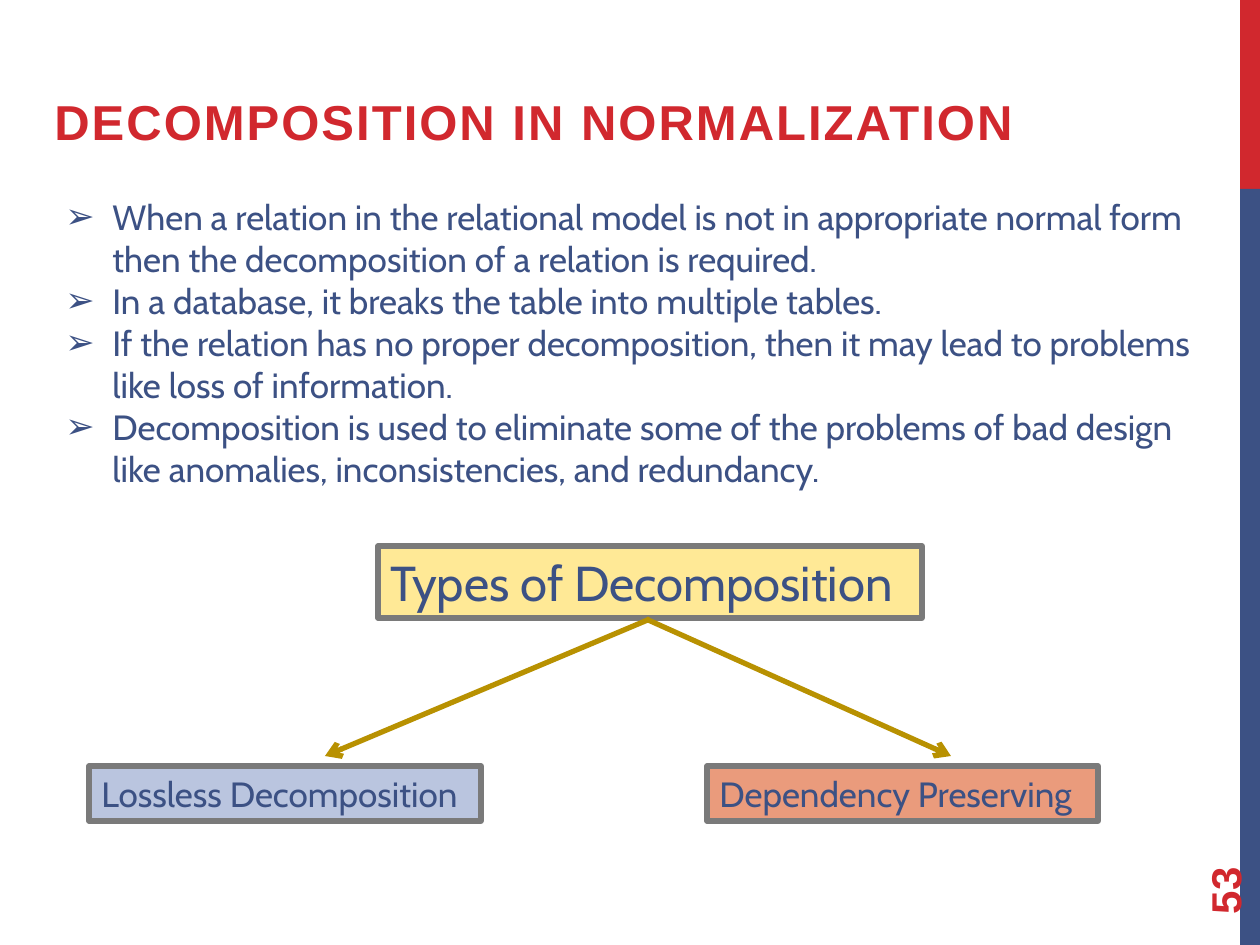
"""Build the slide on decomposition in normalization."""
import pptx
import pptx.dml.color
import pptx.enum.shapes
import pptx.enum.text
import pptx.oxml.ns
import pptx.util
from lxml import etree

PX = 914400 / 126
RECT = pptx.enum.shapes.MSO_SHAPE.RECTANGLE
ANCHOR = pptx.enum.text.MSO_ANCHOR
THEME = {
    "red": "D1282E", "navy": "3C5184", "border": "7A7A7A", "arrow": "B89101",
    "yellow": "FFE996", "blue": "BAC5DF", "orange": "EA9B7C",
    "head_font": "Arial", "body_font": "Cabin",
    "title": 28, "root": 28, "number": 24, "body": 20, "line": 3,
}


def add_rect(box, fill, border=None):
    sp = s.shapes.add_shape(RECT, *[round(v * PX) for v in box])
    sp.shadow.inherit = False
    sp.fill.solid()
    sp.fill.fore_color.rgb = pptx.dml.color.RGBColor.from_string(THEME[fill])
    if border:
        sp.line.color.rgb = pptx.dml.color.RGBColor.from_string(THEME[border])
        sp.line.width = pptx.util.Pt(THEME["line"])
    else:
        sp.line.fill.background()
    return sp


def set_text(sp, text, size, font, color, bold=False, anchor=ANCHOR.TOP):
    tf = sp.text_frame
    tf.word_wrap = True
    tf.vertical_anchor = anchor
    tf.text = text
    for p in tf.paragraphs:
        p.alignment = pptx.enum.text.PP_ALIGN.LEFT
        for r in p.runs:
            r.font.size = pptx.util.Pt(THEME[size])
            r.font.name = THEME[font]
            r.font.bold = bold
            r.font.color.rgb = pptx.dml.color.RGBColor.from_string(THEME[color])
    return tf


prs = pptx.Presentation()
prs.slide_width = round(1260 * PX)
prs.slide_height = round(945 * PX)
s = prs.slides.add_slide(prs.slide_layouts[6])

add_rect((1240, 0, 20, 189), "red")
add_rect((1240, 189, 20, 756), "navy")

number = s.shapes.add_textbox(*[round(v * PX) for v in (1134, 811, 181, 50)])
number.rotation = 270
set_text(number, "53", "number", "head_font", "red", True, ANCHOR.MIDDLE)

title = s.shapes.add_textbox(*[round(v * PX) for v in (42, 73, 1061, 84)])
tf = set_text(title, "DECOMPOSITION IN NORMALIZATION", "title", "head_font", "red", True, ANCHOR.BOTTOM)
tf.paragraphs[0].space_after = pptx.util.Pt(6)
tf.paragraphs[0].runs[0].font._element.set("spc", "120")

points = [
    "When a relation in the relational model is not in appropriate normal form "
    "then the decomposition of a relation is required.",
    "In a database, it breaks the table into multiple tables.",
    "If the relation has no proper decomposition, then it may lead to problems like loss of information.",
    "Decomposition is used to eliminate some of the problems of bad design "
    "like anomalies, inconsistencies, and redundancy.",
]
body = s.shapes.add_textbox(*[round(v * PX) for v in (53, 189, 1154, 310)])
tf = set_text(body, "\n".join(points), "body", "body_font", "navy")
for p in tf.paragraphs:
    pPr = p._p.get_or_add_pPr()
    pPr.set("marL", str(round(47 * PX)))
    pPr.set("indent", str(round(-47 * PX)))
    etree.SubElement(pPr, pptx.oxml.ns.qn("a:buFont"), typeface=THEME["head_font"])
    etree.SubElement(pPr, pptx.oxml.ns.qn("a:buChar"), char="➢")

for text, box, fill, size in [
    ("Dependency Preserving", (707, 766, 391, 55), "orange", "body"),
    ("Lossless Decomposition", (89, 766, 392, 55), "blue", "body"),
    ("Types of Decomposition", (378, 546, 544, 72), "yellow", "root"),
]:
    set_text(add_rect(box, fill, "border"), text, size, "body_font", "navy")

for ends in [(650, 619, 325, 756), (646, 619, 951, 756)]:
    c = s.shapes.add_connector(pptx.enum.shapes.MSO_CONNECTOR.STRAIGHT, *[round(v * PX) for v in ends])
    c.line.color.rgb = pptx.dml.color.RGBColor.from_string(THEME["arrow"])
    c.line.width = pptx.util.Pt(THEME["line"])
    etree.SubElement(c.line._get_or_add_ln(), pptx.oxml.ns.qn("a:tailEnd"), type="arrow")
    etree.SubElement(c._element.spPr, pptx.oxml.ns.qn("a:effectLst"))

prs.save("out.pptx")
